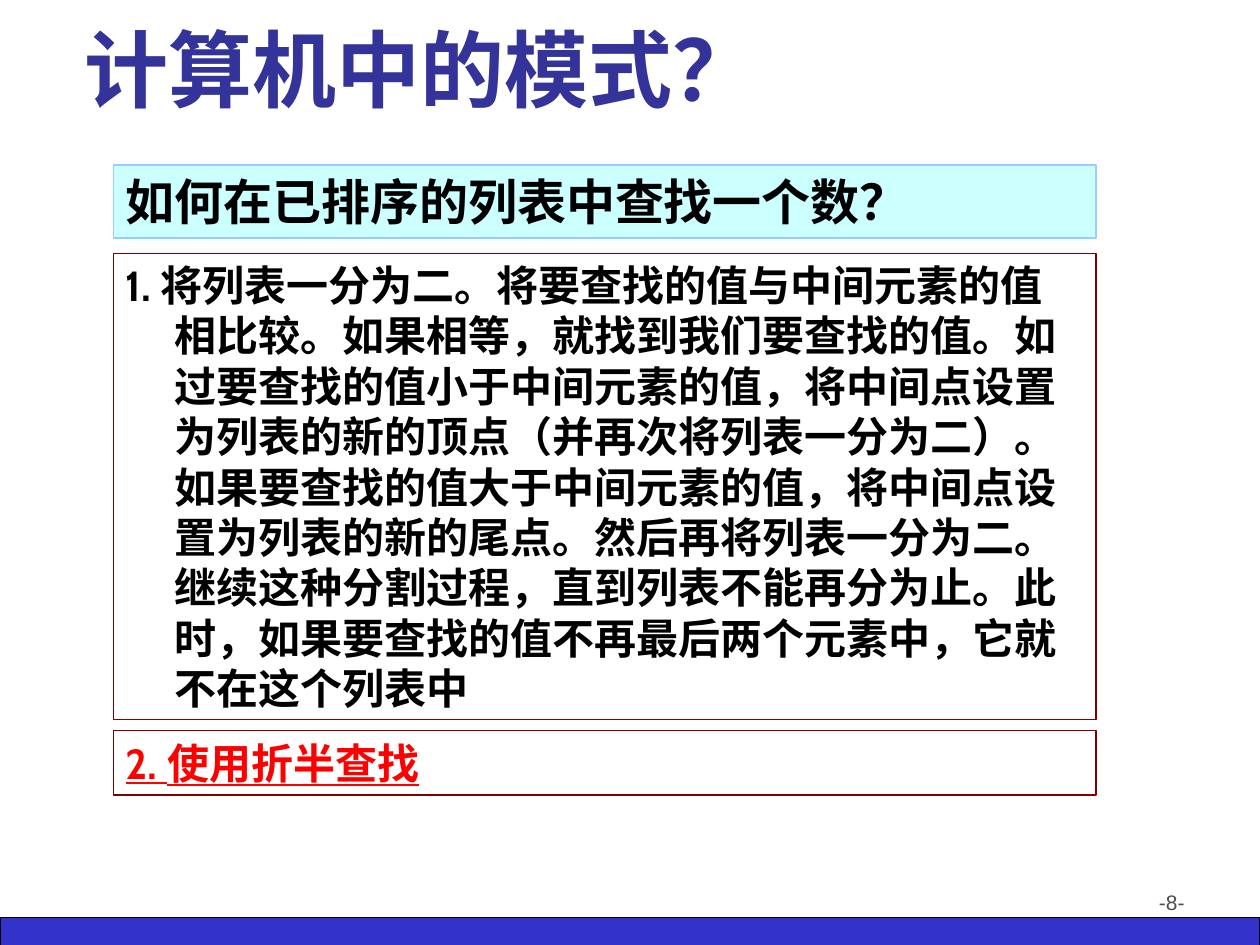
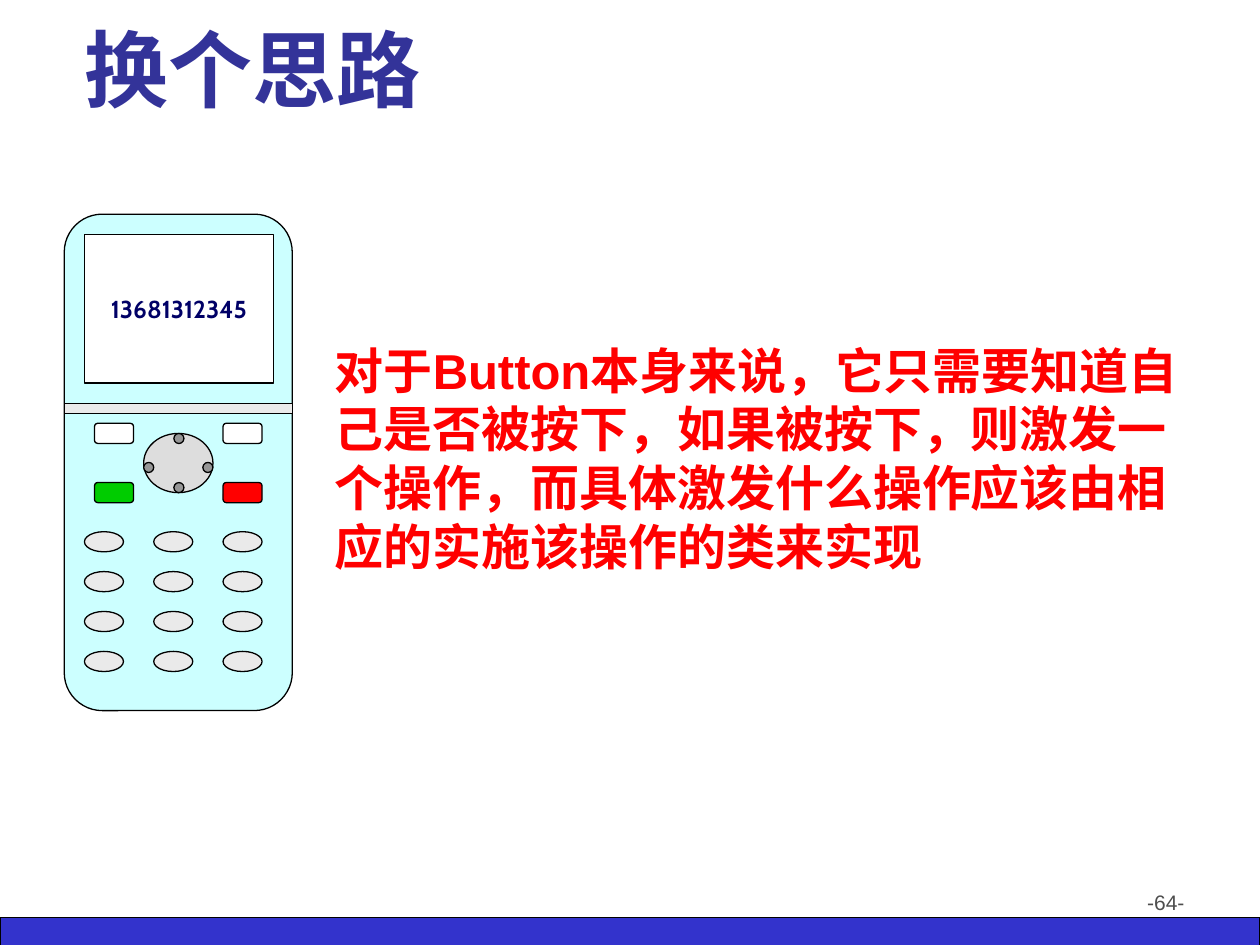
from pptx import Presentation
from pptx.dml.color import RGBColor
from pptx.enum.shapes import MSO_SHAPE
from pptx.enum.text import MSO_ANCHOR, MSO_AUTO_SIZE, PP_ALIGN
from pptx.util import Inches, Pt

RECTANGLE, ROUNDED, OVAL = MSO_SHAPE.RECTANGLE, MSO_SHAPE.ROUNDED_RECTANGLE, MSO_SHAPE.OVAL
TOP, MIDDLE, BOTTOM = MSO_ANCHOR.TOP, MSO_ANCHOR.MIDDLE, MSO_ANCHOR.BOTTOM
LEFT, CENTER, RIGHT = PP_ALIGN.LEFT, PP_ALIGN.CENTER, PP_ALIGN.RIGHT
NO_RESIZE = MSO_AUTO_SIZE.NONE

THEME = {
    "colors": {
        "band": "3333CC", "title": "333399", "footer": "4D4D4D", "pale": "CCFFFF",
        "sky": "99CCFF", "maroon": "800000", "white": "FFFFFF", "black": "000000",
        "red": "FF0000", "green": "00CC00", "navy": "000066",
        "key": "EAEAEA", "pad": "DDDDDD", "dot": "969696",
    },
    "text": {
        "title": {"name": "Cabin", "size": Pt(48), "bold": True},
        "question": {"name": "Cabin", "size": Pt(28), "bold": True},
        "step": {"name": "Cabin", "size": Pt(24), "bold": True},
        "answer": {"name": "Cabin", "size": Pt(24), "bold": True, "underline": True},
        "statement": {"name": "Arial", "size": Pt(28), "bold": True},
        "number": {"name": "Cabin", "size": Pt(14), "bold": True},
        "footer": {"name": "Arial", "size": Pt(12), "bold": False},
    },
}


def add_box(shapes, kind, position, fill, line="black"):
    shape = shapes.add_shape(kind, *map(Inches, position))
    shape.shadow.inherit = False
    shape.fill.solid()
    shape.fill.fore_color.rgb = RGBColor.from_string(THEME["colors"][fill])
    shape.line.color.rgb = RGBColor.from_string(THEME["colors"][line])
    shape.line.width = Pt(0.75)
    return shape


def write_text(shape, text, style, color, alignment=LEFT, anchor=TOP, wrap=True, hanging=0):
    frame = shape.text_frame
    frame_format = {"word_wrap": wrap, "auto_size": NO_RESIZE, "vertical_anchor": anchor}
    for name, value in frame_format.items():
        setattr(frame, name, value)
    paragraph = frame.paragraphs[0]
    paragraph.alignment = alignment
    if hanging:
        properties = paragraph._p.get_or_add_pPr()
        properties.set("marL", str(Inches(hanging)))
        properties.set("indent", str(-Inches(hanging)))
    run = paragraph.add_run()
    run.text = text
    for name, value in THEME["text"][style].items():
        setattr(run.font, name, value)
    run.font.color.rgb = RGBColor.from_string(THEME["colors"][color])


presentation = Presentation()
presentation.slide_width = Inches(10)
presentation.slide_height = Inches(7.5)
title_only = presentation.slide_layouts[5]

slides = []
for heading, page in [("计算机中的模式？", "-8-"), ("换个思路", "-64-")]:
    slide = presentation.slides.add_slide(title_only)
    add_box(slide.shapes, RECTANGLE, (0, 7.28, 10, 0.25), "band")
    footer = slide.shapes.add_textbox(*map(Inches, (7.17, 7.01, 2.33, 0.52)))
    write_text(footer, page, "footer", "footer", RIGHT)
    title = slide.shapes.title
    title_place = {"left": 0.57, "top": 0.28, "width": 8.68, "height": 0.71}
    for name, value in title_place.items():
        setattr(title, name, Inches(value))
    write_text(title, heading, "title", "title", anchor=BOTTOM)
    slides.append(slide)
search_slide, phone_slide = slides

search_boxes = [
    (1.31, 0.58, "pale", "sky", "question", "black", 0, "如何在已排序的列表中查找一个数？"),
    (2.01, 3.7, "white", "maroon", "step", "black", 0.39,
     "1. 将列表一分为二。将要查找的值与中间元素的值相比较。如果相等，就找到我们要查找的值。"
     "如过要查找的值小于中间元素的值，将中间点设置为列表的新的顶点（并再次将列表一分为二）。"
     "如果要查找的值大于中间元素的值，将中间点设置为列表的新的尾点。然后再将列表一分为二。"
     "继续这种分割过程，直到列表不能再分为止。此时，如果要查找的值不再最后两个元素中，"
     "它就不在这个列表中"),
    (5.8, 0.51, "white", "maroon", "answer", "red", 0.39, "2. 使用折半查找"),
]
for top, height, fill, line, style, color, hanging, text in search_boxes:
    box = add_box(search_slide.shapes, RECTANGLE, (0.9, top, 7.8, height), fill, line)
    write_text(box, text, style, color, hanging=hanging)

phone = phone_slide.shapes.add_group_shape().shapes
add_box(phone, ROUNDED, (0.51, 1.7, 1.81, 3.94), "pale")
screen = add_box(phone, RECTANGLE, (0.67, 1.86, 1.5, 1.18), "white")
write_text(screen, "13681312345", "number", "navy", CENTER, MIDDLE, wrap=False)
add_box(phone, RECTANGLE, (0.51, 3.2, 1.81, 0.08), "key")
add_box(phone, OVAL, (1.14, 3.44, 0.55, 0.47), "pad")

key_width, key_height = 0.31, 0.16
for left, lower_fill in [(0.75, "green"), (1.77, "red")]:
    for top, fill in [(3.36, "white"), (3.83, lower_fill)]:
        add_box(phone, ROUNDED, (left, top, key_width, key_height), fill)

column_step, row_step = 0.55, 0.95 / 3
for row in range(4):
    for column in range(3):
        left, top = 0.67 + column * column_step, 4.22 + row * row_step
        add_box(phone, OVAL, (left, top, key_width, key_height), "key")

for left, top in [(1.38, 3.44), (1.38, 3.83), (1.61, 3.67), (1.14, 3.67)]:
    add_box(phone, OVAL, (left, top, 0.08, 0.08), "dot")

statement = phone_slide.shapes.add_textbox(*map(Inches, (2.56, 2.65, 7.09, 1.97)))
write_text(
    statement,
    "对于Button本身来说，它只需要知道自己是否被按下，如果被按下，则激发一个操作，"
    "而具体激发什么操作应该由相应的实施该操作的类来实现",
    "statement", "red",
)

presentation.save("out.pptx")
